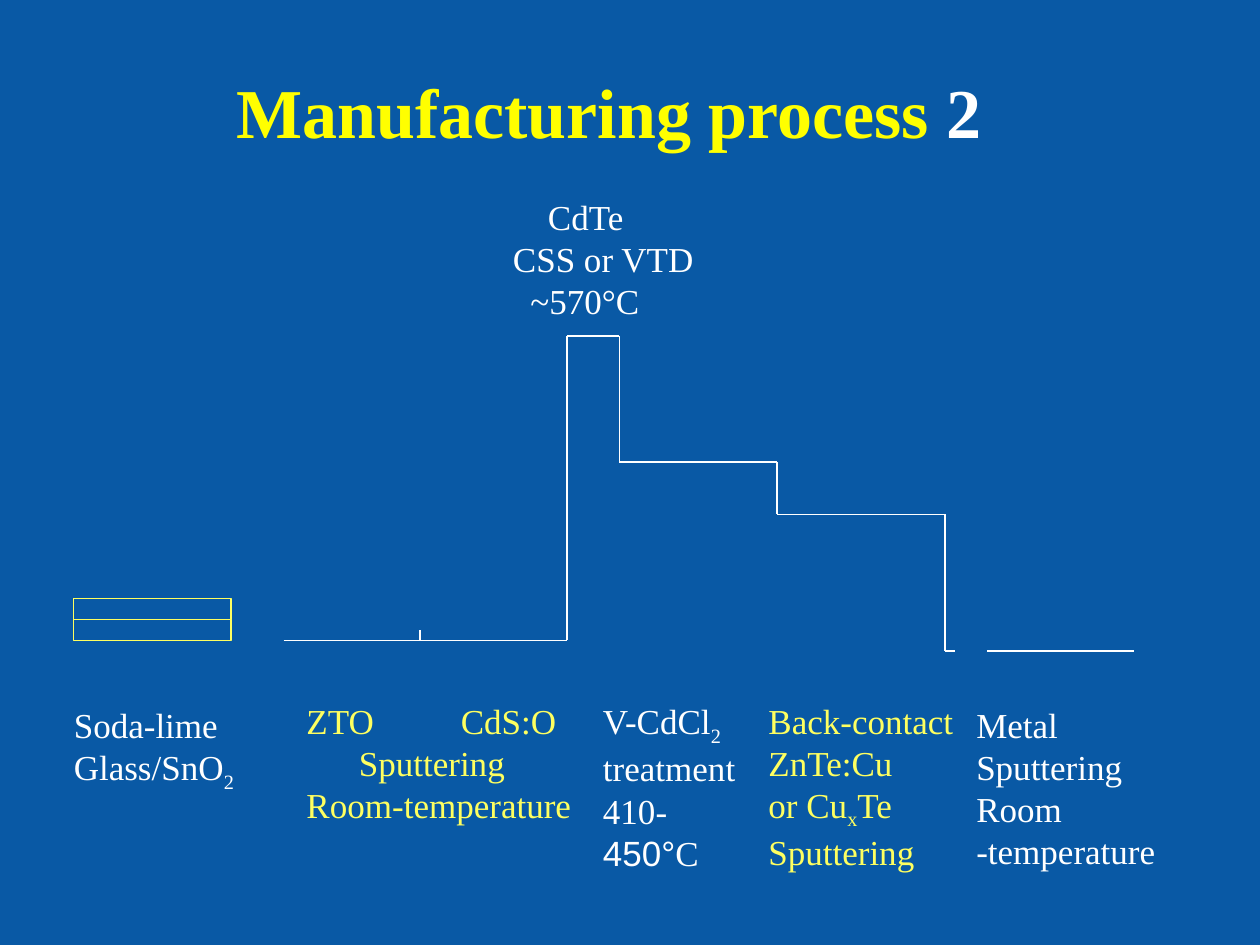
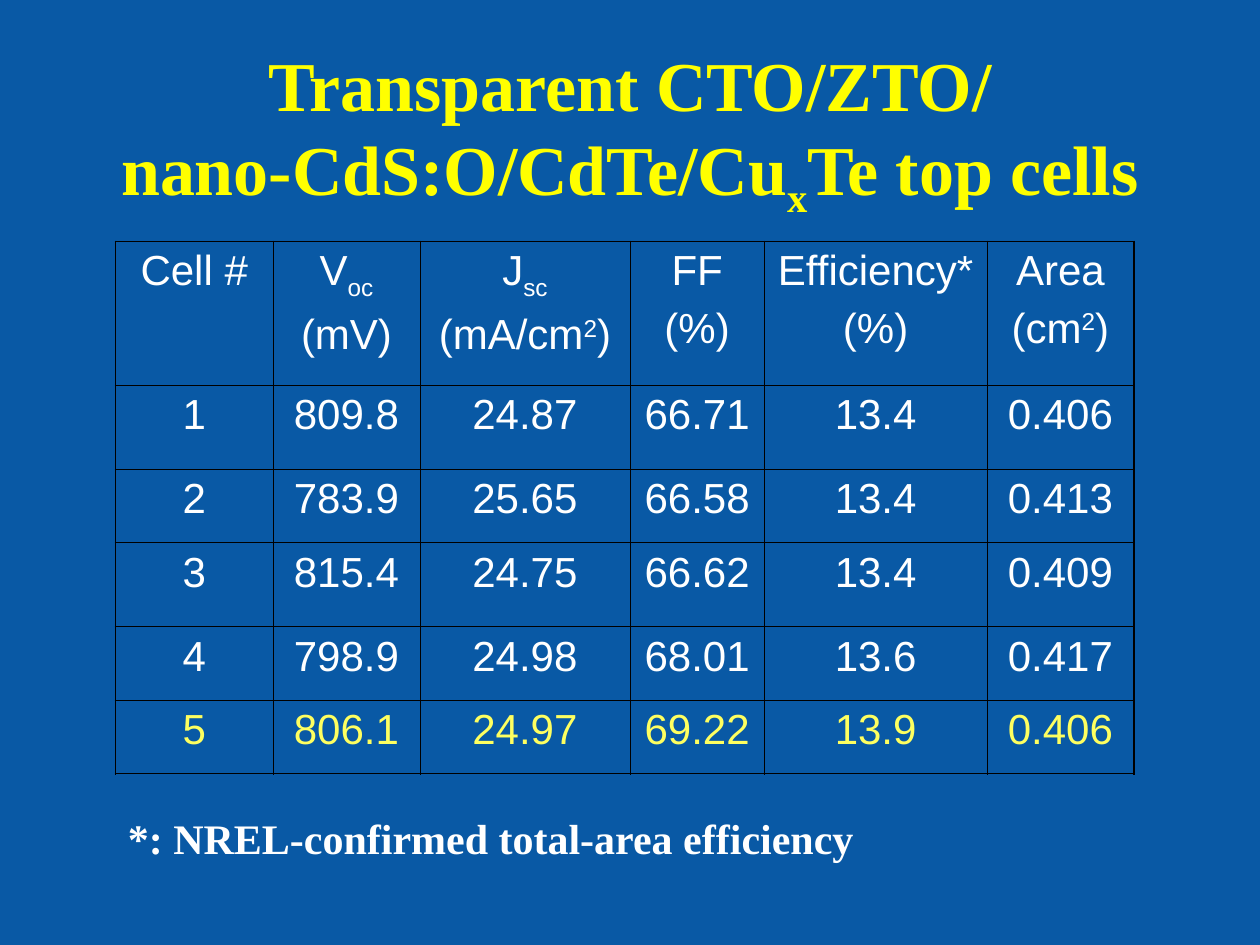
import dataclasses
import itertools

import lxml.etree
import pptx
import pptx.dml.color
import pptx.enum.shapes
import pptx.enum.text
import pptx.oxml.ns
import pptx.util

WIDTH, HEIGHT = pptx.util.Inches(10), pptx.util.Inches(7.5)
COLS, ROWS = 120, 90
BLUE, WHITE, BLACK = "0959A5", "FFFFFF", "000000"
BRIGHT, PALE = "FFFF00", "FEFF60"
SERIF, SANS = "Times New Roman", "Arial"
SHIFTS = {"_": "-25000", "^": "30000"}


@dataclasses.dataclass(frozen=True)
class Box:
    """Left, top, width and height in grid columns and rows."""
    x: float
    y: float
    w: float
    h: float

    def place(self) -> tuple:
        return col(self.x), row(self.y), col(self.w), row(self.h)


@dataclasses.dataclass(frozen=True)
class Style:
    size: int
    color: str = WHITE
    face: str = SERIF
    bold: bool = False


@dataclasses.dataclass(frozen=True)
class Label:
    """Text in a box; indents (one per line) and tab are in columns."""
    text: str
    box: Box
    style: Style
    indents: tuple = ()
    tab: float = 0


HEAD = Style(40, BRIGHT, bold=True)
STEP, HOT = Style(20), Style(20, PALE)
CELL, BEST = Style(24, face=SANS), Style(24, PALE, SANS)

STEPS = [
    Label("Soda-lime\nGlass/SnO|_2", Box(5.85, 66.4, 18.6, 9.8), STEP),
    Label("ZTO\tCdS:O\nSputtering\nRoom-temperature", Box(28, 66, 32, 13.2),
          HOT, indents=(0, 5, 0), tab=14.7),
    Label("CdTe\nCSS or VTD\n~570°C", Box(46, 18, 22.5, 13.2), STEP,
          indents=(5, 1.67, 3.33)),
    Label("Back-contact\nZnTe:Cu\nor Cu|_x|Te\nSputtering",
          Box(72, 66, 21, 17.8), HOT),
    Label("Metal\nSputtering\nRoom\n-temperature",
          Box(91.8, 66.4, 20.6, 17.3), STEP),
]
CURE = Label("V-CdCl|_2\ntreatment\n410-|450°|C", Box(56.25, 66, 16.6, 13.8),
             STEP)
NOTE = Label("*: NREL-confirmed total-area efficiency",
             Box(11, 76.8, 73, 6), Style(24, bold=True))

HEAT = [(27, 61), (41, 61), (54, 61), (54, 32), (59, 32), (59, 44),
        (74, 44), (74, 49), (90, 49), (90, 62), (91, 62)]
METAL = [(94, 62), (108, 62)]
TICK = [(40, 61), (40, 60)]

CELLS = [
    ["Cell #", "V|_oc\n(mV)", "J|_sc\n(mA/cm|^2|)", "FF\n(%)",
     "Efficiency*\n(%)", "Area\n(cm|^2|)"],
    ["1", "809.8", "24.87", "66.71", "13.4", "0.406"],
    ["2", "783.9", "25.65", "66.58", "13.4", "0.413"],
    ["3", "815.4", "24.75", "66.62", "13.4", "0.409"],
    ["4", "798.9", "24.98", "68.01", "13.6", "0.417"],
    ["5", "806.1", "24.97", "69.22", "13.9", "0.406"],
]
SPANS = [15, 14, 20, 12.8, 21.2, 14]
TALLS = [13.7, 8, 7, 8, 7, 7]


def col(n: float) -> int:
    return round(WIDTH * n / COLS)


def row(n: float) -> int:
    return round(HEIGHT * n / ROWS)


def rgb(code: str) -> pptx.dml.color.RGBColor:
    return pptx.dml.color.RGBColor.from_string(code)


def sub(node, tag: str, **attrs: str):
    return lxml.etree.SubElement(node, pptx.oxml.ns.qn(tag), attrs)


def write(frame, text: str, style: Style, center: bool = False,
          gap: float = 0) -> None:
    """Fill a frame; "|" parts runs, "_" lowers and "^" raises a run."""
    for i, line in enumerate(text.split("\n")):
        para = frame.add_paragraph() if i else frame.paragraphs[0]
        if center:
            para.alignment = pptx.enum.text.PP_ALIGN.CENTER
        if i and gap:
            para.space_before = pptx.util.Pt(gap)
        for part in line.split("|"):
            if part == "\v":
                para.add_line_break()
                continue
            run = para.add_run()
            run.text = part.lstrip("_^")
            font = run.font
            font.size, font.name = pptx.util.Pt(style.size), style.face
            font.bold, font.color.rgb = style.bold, rgb(style.color)
            if part[0] in SHIFTS:
                run._r.get_or_add_rPr().set("baseline", SHIFTS[part[0]])


def add_label(slide, label: Label):
    frame = slide.shapes.add_textbox(*label.box.place()).text_frame
    frame.word_wrap = True
    write(frame, label.text, label.style)
    for para, indent in zip(frame.paragraphs, label.indents):
        para._p.get_or_add_pPr().set("marL", str(col(indent)))
    if label.tab:
        tabs = sub(frame.paragraphs[0]._p.get_or_add_pPr(), "a:tabLst")
        sub(tabs, "a:tab", pos=str(col(label.tab)), algn="l")
    return frame


def add_path(slide, points: list) -> None:
    """Join grid points with straight lines."""
    for (x, y), (u, v) in itertools.pairwise(points):
        line = slide.shapes.add_connector(
            pptx.enum.shapes.MSO_CONNECTOR.STRAIGHT,
            col(x), row(y), col(u), row(v))
        line.line.color.rgb = rgb(WHITE)
        line.line.width = pptx.util.Pt(0.75)
        sub(line._element.spPr, "a:effectLst")


def add_layer(slide, box: Box) -> None:
    rect = slide.shapes.add_shape(
        pptx.enum.shapes.MSO_SHAPE.RECTANGLE, *box.place())
    rect.shadow.inherit = False
    rect.fill.background()
    rect.line.color.rgb = rgb(PALE)
    rect.line.width = pptx.util.Pt(0.75)


def add_edges(cell, outer: dict) -> None:
    """Rule a cell's sides, thicker where the side is an outer one."""
    props = cell._tc.get_or_add_tcPr()
    for i, (side, thick) in enumerate(outer.items()):
        width = pptx.util.Pt(1.08 if thick else 0.45)
        edge = sub(props, f"a:ln{side}", w=str(int(width)))
        sub(sub(edge, "a:solidFill"), "a:srgbClr", val=BLACK)
        props.insert(i, edge)


def add_grid(slide, x: float, y: float) -> None:
    box = Box(x, y, sum(SPANS), sum(TALLS))
    table = slide.shapes.add_table(len(TALLS), len(SPANS), *box.place()).table
    table.first_row = table.horz_banding = False
    for part, span in zip(table.columns, SPANS):
        part.width = col(span)
    for part, tall in zip(table.rows, TALLS):
        part.height = row(tall)
    end, last = len(SPANS) - 1, len(TALLS) - 1
    for r, line in enumerate(CELLS):
        for c, text in enumerate(line):
            cell = table.cell(r, c)
            cell.fill.background()
            add_edges(cell, {"L": c == 0, "R": c == end,
                             "T": r == 0, "B": r == last})
            write(cell.text_frame, text, BEST if r == last else CELL,
                  center=True, gap=6)


def add_slide(deck, text: str, box: Box):
    slide = deck.slides.add_slide(deck.slide_layouts[5])
    title = slide.shapes.title
    title.left, title.top, title.width, title.height = box.place()
    frame = title.text_frame
    frame.auto_size = pptx.enum.text.MSO_AUTO_SIZE.NONE
    frame.vertical_anchor = pptx.enum.text.MSO_ANCHOR.MIDDLE
    write(frame, text, HEAD, center=True)
    return slide


def set_master(deck) -> None:
    """Give all slides the blue ground and the title size."""
    master = deck.slide_master
    master.background.fill.solid()
    master.background.fill.fore_color.rgb = rgb(BLUE)
    style = master.element.find(".//" + pptx.oxml.ns.qn("p:titleStyle"))
    for props in style.iter(pptx.oxml.ns.qn("a:defRPr")):
        props.set("sz", str(HEAD.size * 100))


def draw_process(deck) -> None:
    slide = add_slide(deck, "Manufacturing process |2", Box(7, 5, 102, 11))
    number = slide.shapes.title.text_frame.paragraphs[0].runs[-1]
    number.font.color.rgb = rgb(WHITE)
    for y in (59, 57):
        add_layer(slide, Box(7, y, 15, 2))
    for points in (HEAT, METAL, TICK):
        add_path(slide, points)
    for label in STEPS:
        add_label(slide, label)
    cure = add_label(slide, CURE)
    cure.paragraphs[-1].runs[1].font.name = SANS


def draw_cells(deck) -> None:
    text = "Transparent CTO/ZTO/|\v|nano-CdS:O/CdTe/Cu|_x|Te top cells"
    slide = add_slide(deck, text, Box(9, 4, 102, 17))
    add_grid(slide, 11, 23)
    add_label(slide, NOTE)


def main() -> None:
    deck = pptx.Presentation()
    deck.slide_width, deck.slide_height = WIDTH, HEIGHT
    set_master(deck)
    draw_process(deck)
    draw_cells(deck)
    deck.save("out.pptx")


if __name__ == "__main__":
    main()
